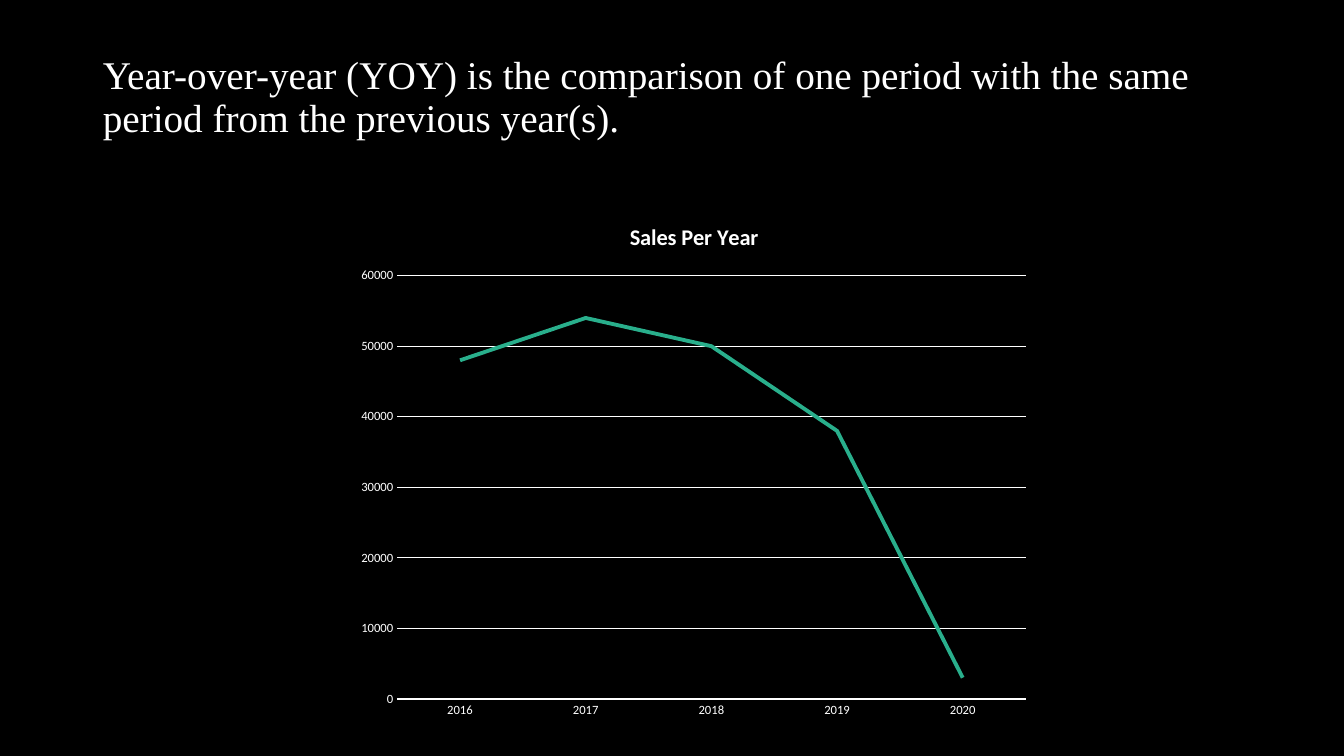
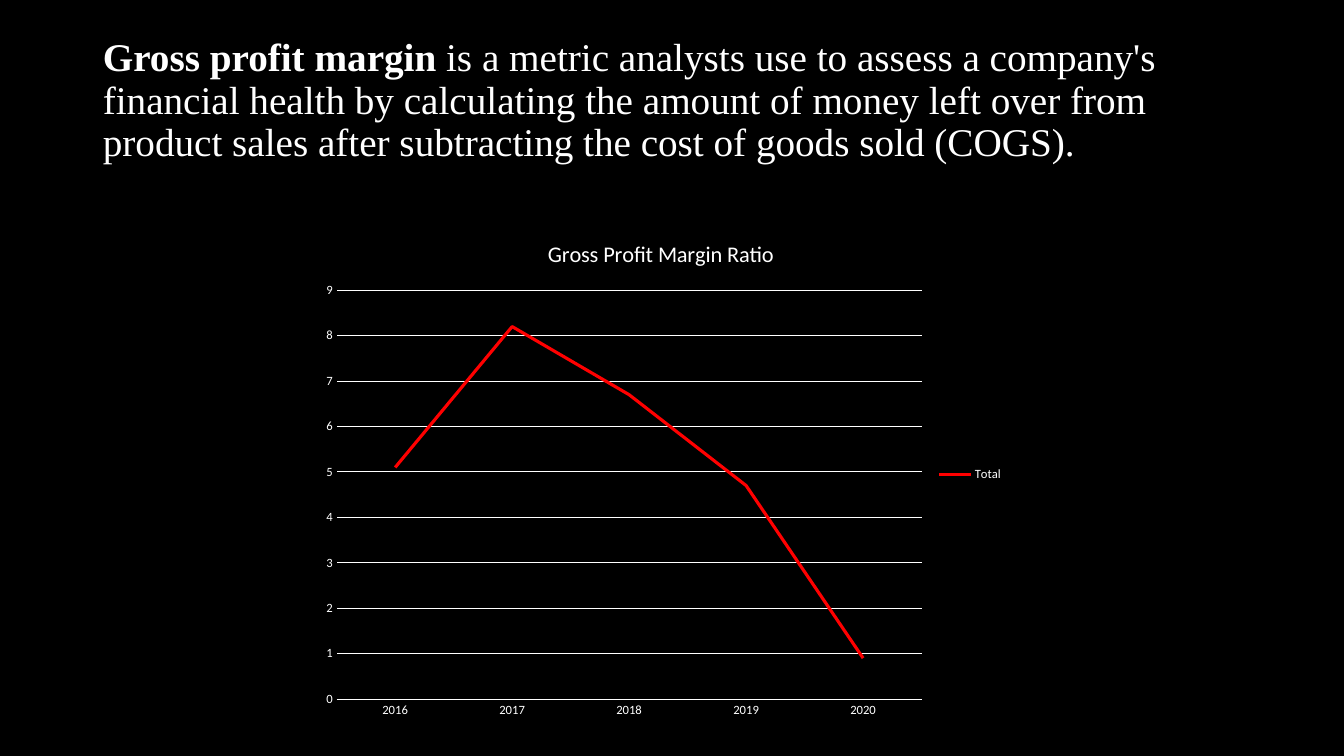
from lxml import etree
from pptx import Presentation
from pptx.chart.data import CategoryChartData
from pptx.dml.color import RGBColor
from pptx.enum.chart import XL_CHART_TYPE, XL_LEGEND_POSITION, XL_TICK_MARK
from pptx.enum.text import MSO_ANCHOR, PP_ALIGN
from pptx.oxml.ns import qn
from pptx.util import Inches, Pt

LINE_CHART = XL_CHART_TYPE.LINE
LEGEND_RIGHT = XL_LEGEND_POSITION.RIGHT
NO_TICK = XL_TICK_MARK.NONE
MIDDLE = MSO_ANCHOR.MIDDLE
LEFT = PP_ALIGN.LEFT

BLACK = RGBColor(0x00, 0x00, 0x00)
WHITE = RGBColor(0xFF, 0xFF, 0xFF)
GREEN = RGBColor(0x29, 0xAF, 0x8C)
RED = RGBColor(0xFF, 0x00, 0x00)

TITLE_FONT = "Times New Roman"
CHART_FONT = "Calibri"
TITLE_ONLY = 5
YEARS = ["2016", "2017", "2018", "2019", "2020"]


def style_font(font, name, size, bold=False):
    font.name = name
    font.size = Pt(size)
    font.bold = bold
    font.color.rgb = WHITE


def style_line(line, color, width):
    line.color.rgb = color
    line.width = Pt(width)


def place(box, left, top, width, height):
    box.left, box.top = Inches(left), Inches(top)
    box.width, box.height = Inches(width), Inches(height)


def new_deck():
    deck = Presentation()
    deck.slide_width, deck.slide_height = Inches(13.33), Inches(7.5)
    background = deck.slide_master.background.fill
    background.solid()
    background.fore_color.rgb = BLACK
    return deck


def add_titled_page(deck, top, spans):
    page = deck.slides.add_slide(deck.slide_layouts[TITLE_ONLY])
    title = page.shapes.title
    place(title, 0.92, top, 11.5, 1.45)
    title.text_frame.word_wrap = True
    title.text_frame.vertical_anchor = MIDDLE
    para = title.text_frame.paragraphs[0]
    para.alignment = LEFT
    para.line_spacing = 0.9
    for text, bold in spans:
        span = para.add_run()
        span.text = text
        style_font(span.font, TITLE_FONT, 28, bold)
    return page


def set_plot_area(chart, left, top, width, height):
    plot_area = chart.plots[0]._element.getparent()
    for old in plot_area.findall(qn("c:layout")):
        plot_area.remove(old)
    layout = etree.Element(qn("c:layout"))
    manual = etree.SubElement(layout, qn("c:manualLayout"))
    settings = {
        "layoutTarget": "inner", "xMode": "edge", "yMode": "edge",
        "x": left, "y": top, "w": width, "h": height,
    }
    for name, value in settings.items():
        etree.SubElement(manual, qn(f"c:{name}")).set("val", str(value))
    plot_area.insert(0, layout)


def style_axes(chart, top_value, step, base_width):
    for axis in (chart.category_axis, chart.value_axis):
        axis.major_tick_mark = axis.minor_tick_mark = NO_TICK
        style_font(axis.tick_labels.font, CHART_FONT, 9)
    style_line(chart.category_axis.format.line, WHITE, base_width)
    values = chart.value_axis
    values.minimum_scale, values.maximum_scale = 0, top_value
    values.major_unit = step
    values.format.line.fill.background()
    values.has_major_gridlines = True
    style_line(values.major_gridlines.format.line, WHITE, 0.75)


def add_line_chart(page, area, heading, bold, name, values, color, width):
    data = CategoryChartData()
    data.categories = YEARS
    data.add_series(name, values)
    chart = page.shapes.add_chart(LINE_CHART, *map(Inches, area), data).chart
    style_font(chart.font, CHART_FONT, 10)
    chart.has_legend = False
    chart.has_title = True
    span = chart.chart_title.text_frame.paragraphs[0].add_run()
    span.text = heading
    style_font(span.font, CHART_FONT, 16, bold)
    chart.plots[0].vary_by_categories = False
    series = chart.plots[0].series[0]
    series.smooth = False
    style_line(series.format.line, color, width)
    return chart


def add_legend(chart):
    chart.has_legend = True
    chart.legend.position = LEGEND_RIGHT
    chart.legend.include_in_layout = False
    style_font(chart.legend.font, CHART_FONT, 9)


def main():
    deck = new_deck()

    page = add_titled_page(deck, 0.25, [
        ("Year-over-year (YOY) is the comparison of one period with the same "
         "period from the previous year(s).", False),
    ])
    sales = add_line_chart(
        page, (3.46, 2, 6.85, 5.25), "Sales Per Year", True,
        "Series 1", [48000, 54000, 50000, 38000, 3000], GREEN, 2.75)
    style_axes(sales, 60000, 10000, 1)
    set_plot_area(sales, 0.07, 0.14, 0.91, 0.8)

    page = add_titled_page(deck, 0.28, [
        ("Gross profit margin", True),
        (" is a metric analysts use to assess a company's financial health by "
         "calculating the amount of money left over from product sales after "
         "subtracting the cost of goods sold (COGS).", False),
    ])
    margin = add_line_chart(
        page, (3.06, 2.17, 6.99, 5.07), "Gross Profit Margin Ratio", False,
        "Total", [5.1, 8.2, 6.7, 4.7, 0.9], RED, 2.25)
    style_axes(margin, 9, 1, 0.75)
    set_plot_area(margin, 0.04, 0.14, 0.83, 0.8)
    add_legend(margin)

    deck.save("out.pptx")


if __name__ == "__main__":
    main()
